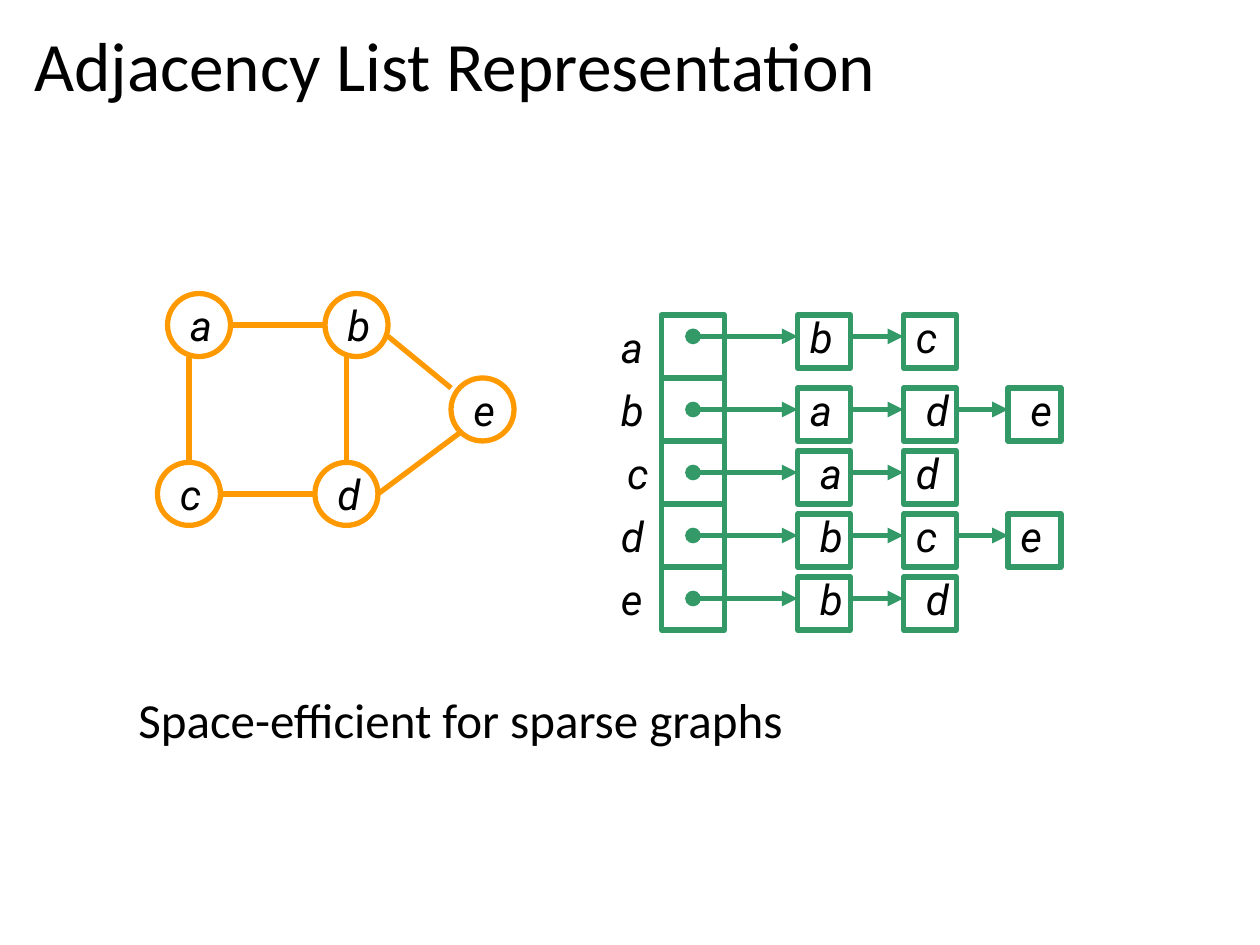
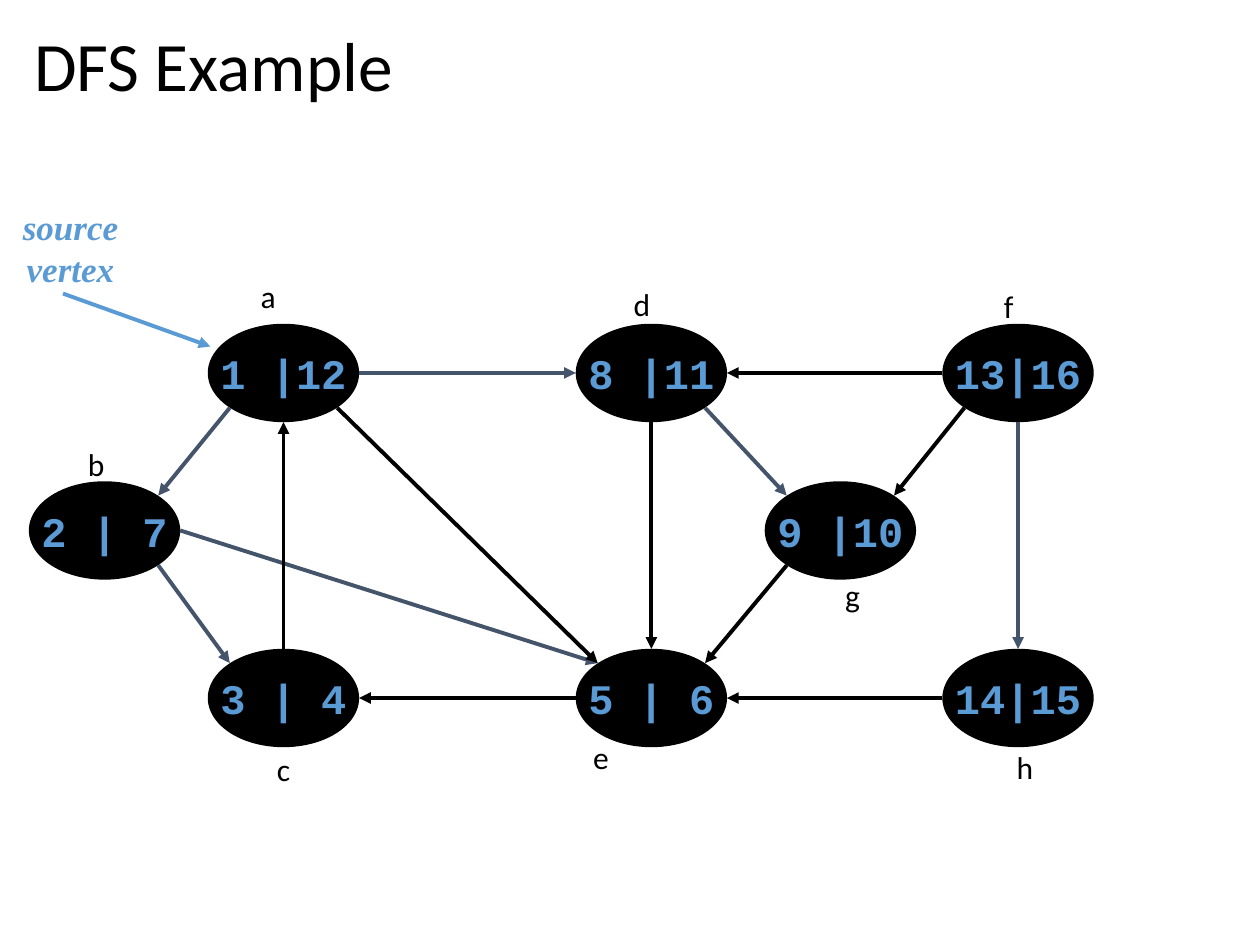
from lxml.etree import SubElement
from pptx import Presentation
from pptx.dml.color import RGBColor
from pptx.enum.shapes import MSO_CONNECTOR, MSO_SHAPE
from pptx.enum.text import MSO_ANCHOR, MSO_AUTO_SIZE, PP_ALIGN
from pptx.oxml.ns import qn
from pptx.util import Inches, Pt

COLORS = {"text": "000000", "graph": "FF9900", "list": "339966",
          "node": "000000", "tree": "44546A", "accent": "5B9BD5"}

TITLE = {"name": "Calibri", "size": Pt(39.6)}
NOTE = {"name": "Calibri", "size": Pt(28)}
CAPTION = {"name": "Calibri", "size": Pt(18)}
VERTEX = {"name": "Roboto", "size": Pt(24), "italic": True}
TIMES = {"name": "Courier New", "size": Pt(24), "bold": True}
SOURCE = {"name": "Times New Roman", "size": Pt(20), "bold": True, "italic": True}

GRAPH_NODES = {"a": (0.08, 0), "b": (1.33, 0), "c": (0, 1.34),
               "d": (1.25, 1.34), "e": (2.33, 0.67)}
GRAPH_EDGES = [((0.25, 1.34), (0.25, 0.5)), ((1.33, 0.25), (0.58, 0.25)),
               ((1.25, 1.59), (0.5, 1.59)), ((1.5, 1.34), (1.5, 0.5)),
               ((2.33, 0.75), (1.83, 0.34)), ((2.42, 1.09), (1.75, 1.59))]

NEIGHBOURS = {"a": "bc", "b": "ade", "c": "ad", "d": "bce", "e": "bd"}
INDENTED = {"bd", "be", "ca", "db", "eb", "ed"}  # vertex + neighbour

# vertex: (discovery | finish, centre, caption position)
DFS_NODES = {
    "a": ("1 |12", (2.17, 1.38), (1.89, 0.57)),
    "b": ("2 | 7", (0.75, 2.63), (0.52, 1.9)),
    "c": ("3 | 4", (2.17, 3.96), (2.02, 4.32)),
    "d": ("8 |11", (5.09, 1.38), (4.85, 0.63)),
    "e": ("5 | 6", (5.09, 3.96), (4.53, 4.23)),
    "g": ("9 |10", (6.59, 2.63), (6.53, 2.94)),
    "h": ("14|15", (8, 3.96), (7.89, 4.31)),
    "f": ("13|16", (8, 1.38), (7.79, 0.65)),
}
# from vertex, its side, to vertex, its side, colour
DFS_EDGES = [
    ("a", "SW", "b", "NE", "tree"), ("b", "SE", "c", "NW", "tree"),
    ("b", "E", "e", "NW", "tree"), ("e", "W", "c", "E", "node"),
    ("c", "N", "a", "S", "node"), ("a", "SE", "e", "NW", "node"),
    ("d", "S", "e", "N", "node"), ("a", "E", "d", "W", "tree"),
    ("f", "W", "d", "E", "node"), ("d", "SE", "g", "NW", "tree"),
    ("f", "SW", "g", "NE", "node"), ("f", "S", "h", "N", "tree"),
    ("h", "W", "e", "E", "node"), ("g", "SW", "e", "NE", "node"),
]


def rgb(key):
    return RGBColor.from_string(COLORS[key])


def write(tf, text, fmt, color="text", align=PP_ALIGN.LEFT):
    p = tf.paragraphs[0]
    p.text = text
    p.alignment = align
    for r in p.runs:
        for name, value in fmt.items():
            setattr(r.font, name, value)
        r.font.color.rgb = rgb(color)
    return p


def add_text(s, text, x, y, w, h, fmt, color="text", align=PP_ALIGN.LEFT, wrap=True):
    sp = s.shapes.add_textbox(Inches(x), Inches(y), Inches(w), Inches(h))
    sp.text_frame.word_wrap = wrap
    write(sp.text_frame, text, fmt, color, align)


def add_outline(s, kind, x, y, w, h, color, weight=3):
    sp = s.shapes.add_shape(kind, Inches(x), Inches(y), Inches(w), Inches(h))
    sp.shadow.inherit = False
    sp.fill.background()
    sp.line.color.rgb = rgb(color)
    sp.line.width = Pt(weight)
    return sp


def add_line(s, start, end, color, weight=3, head=None, tail=None):
    """Draw a line with an optional head mark at start and tail mark at end."""
    cx = s.shapes.add_connector(MSO_CONNECTOR.STRAIGHT,
                                *(Inches(v) for v in (*start, *end)))
    cx.line.color.rgb = rgb(color)
    cx.line.width = Pt(weight)
    for tag, mark in (("a:headEnd", head), ("a:tailEnd", tail)):
        if mark:
            SubElement(cx.line._get_or_add_ln(), qn(tag), type=mark)
    SubElement(cx._element.spPr, qn("a:effectLst"))


def add_slide(prs, title):
    s = prs.slides.add_slide(prs.slide_layouts[5])
    sp = s.shapes.title
    box = {"left": 0.17, "top": 0.18, "width": 9.62, "height": 0.74}
    for name, value in box.items():
        setattr(sp, name, Inches(value))
    tf = sp.text_frame
    tf.auto_size = MSO_AUTO_SIZE.NONE
    tf.vertical_anchor = MSO_ANCHOR.MIDDLE
    write(tf, title, TITLE).line_spacing = 0.9
    return s


def draw_graph(s, left, top):
    for vertex, (dx, dy) in GRAPH_NODES.items():
        x, y = left + dx, top + dy
        add_outline(s, MSO_SHAPE.OVAL, x, y, 0.5, 0.5, "graph")
        add_text(s, vertex, x + 0.08, y, 0.4, 0.5, VERTEX)
    for ends in GRAPH_EDGES:
        add_line(s, *((left + x, top + y) for x, y in ends), "graph")


def draw_adjacency_lists(s, left, top):
    slot, cell = 0.5, 0.42
    columns = [left + dx for dx in (1.5, 2.34, 3.17)]
    for row, (vertex, linked) in enumerate(NEIGHBOURS.items()):
        y = top + row * slot
        add_outline(s, MSO_SHAPE.RECTANGLE, left + 0.42, y, slot, slot, "list")
        add_text(s, vertex, left + (0.05 if vertex == "c" else 0), y, 0.2, 0.5, VERTEX)
        cell_y = y + (0.08 if row else 0)
        arrow_y = cell_y + 0.17
        start, mark = left + 0.67, "oval"
        for x, other in zip(columns, linked):
            add_outline(s, MSO_SHAPE.RECTANGLE, x, cell_y, cell, cell, "list")
            add_line(s, (start, arrow_y), (x, arrow_y), "list", head=mark, tail="triangle")
            indent = 0.08 if vertex + other in INDENTED else 0
            add_text(s, other, x + indent, cell_y - 0.08, 0.2, 0.5, VERTEX)
            start, mark = x + cell, None


def side_point(center, side):
    """Point just outside a DFS node on the given compass side."""
    dx = ("E" in side) - ("W" in side)
    dy = ("S" in side) - ("N" in side)
    scale = 0.71 if dx and dy else 1
    return center[0] + 0.6 * scale * dx, center[1] + 0.39 * scale * dy


def draw_dfs(s, left, top):
    w, h = 1.17, 0.75
    centers = {}
    for vertex, (times, (dx, dy), _) in DFS_NODES.items():
        x, y = centers[vertex] = left + dx, top + dy
        sp = add_outline(s, MSO_SHAPE.OVAL, x - w / 2, y - h / 2, w, h, "node", 2.25)
        sp.fill.solid()
        sp.fill.fore_color.rgb = rgb("node")
        tf = sp.text_frame
        tf.word_wrap = False
        tf.vertical_anchor = MSO_ANCHOR.MIDDLE
        write(tf, times, TIMES, "accent", PP_ALIGN.CENTER)
    for a, a_side, b, b_side, color in DFS_EDGES:
        add_line(s, side_point(centers[a], a_side), side_point(centers[b], b_side),
                 color, 2.25, tail="triangle")
    add_line(s, (left + 0.42, top + 0.75), (left + 1.59, top + 1.17),
             "accent", 2.25, tail="triangle")
    add_text(s, "source\vvertex", left, top, 0.96, 0.77, SOURCE, "accent",
             PP_ALIGN.CENTER, wrap=False)
    for vertex, (_, _, (dx, dy)) in DFS_NODES.items():
        add_text(s, vertex, left + dx, top + dy, 0.6, 0.4, CAPTION)


def main():
    prs = Presentation()
    prs.slide_width, prs.slide_height = Inches(10), Inches(7.5)

    s = add_slide(prs, "Adjacency List Representation")
    draw_graph(s, 1.25, 2.33)
    draw_adjacency_lists(s, 4.83, 2.5)
    add_text(s, "Space-efficient for sparse graphs", 1, 5.42, 5.35, 0.57, NOTE)

    s = add_slide(prs, "DFS Example")
    draw_dfs(s, 0.08, 1.58)

    prs.save("out.pptx")


if __name__ == "__main__":
    main()
